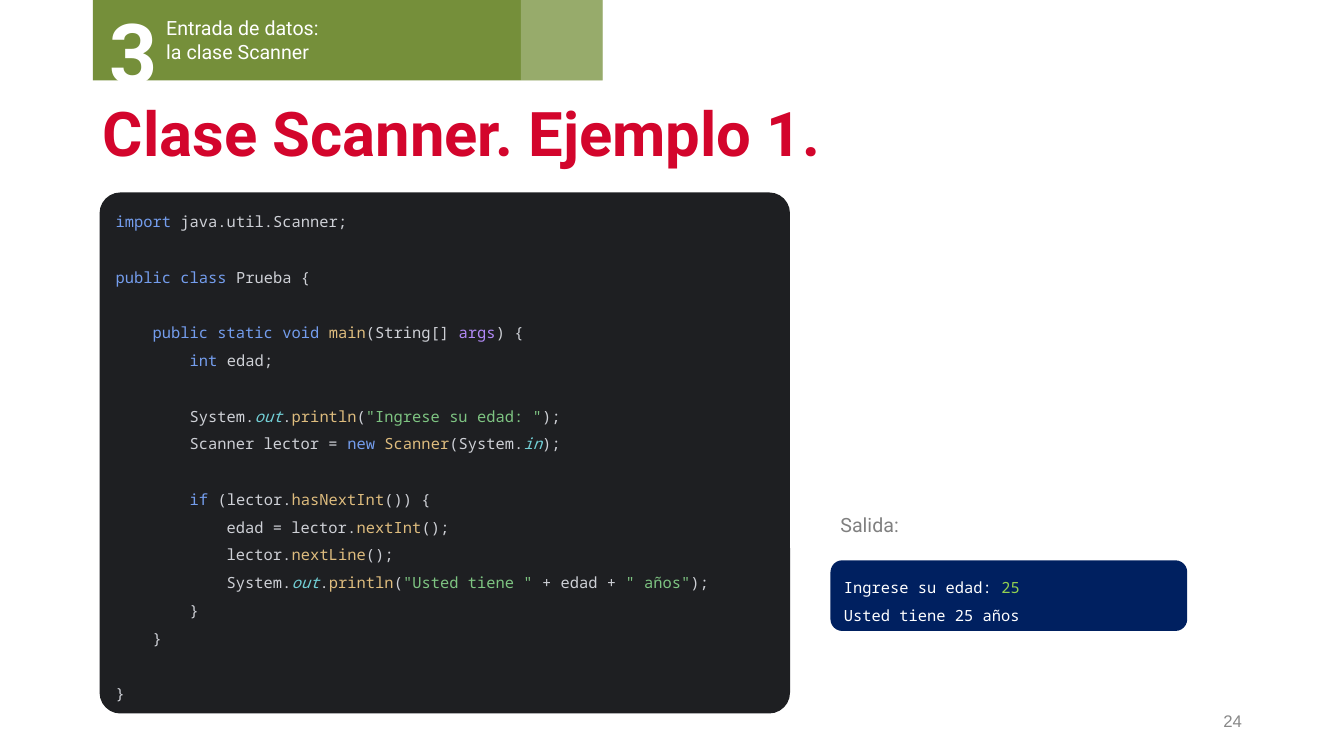
"""Builds a slide on the Scanner class with a code sample and its output."""
from copy import deepcopy
from dataclasses import dataclass, field

from pptx import Presentation, util as u
from pptx.dml import color as col
from pptx.enum import shapes as sh, text as tx
from pptx.oxml import ns, xmlchemy as xc


@dataclass(frozen=True)
class Theme:
    """Colours and type styles of the slide."""
    colors: dict = field(default_factory=lambda: {
        "white": "FFFFFF", "red": "D3052C", "gray": "808080", "number": "888888",
        "banner": "758F3A", "editor": "1E1F22", "console": "002060",
        "plain": "CED0D6", "keyword": "749DED", "method": "DEBC7E",
        "argument": "B189F5", "string": "7EC482", "static": "72CFD6",
        "input": "92D050"})
    styles: dict = field(default_factory=lambda: {
        "title": {"name": "Roboto", "size": u.Pt(44), "bold": True},
        "chapter": {"name": "Roboto", "size": u.Pt(60), "bold": True},
        "label": {"name": "Roboto", "size": u.Pt(14)},
        "number": {"name": "Arial", "size": u.Pt(12)},
        "code": {"name": "Noto Sans Mono", "size": u.Pt(11)}})

    def rgb(self, name):
        """Return the colour with this name."""
        return col.RGBColor.from_string(self.colors[name])


class SlideBuilder:
    """Holds the theme and the current slide, and adds its elements."""

    def __init__(self, slide, theme):
        """Start on a slide with a theme."""
        self.slide, self.theme = slide, theme

    def fill_text(self, frame, tokens, style, anchor="TOP", **layout):
        """Fill a text frame with (colour, text) tokens in one paragraph."""
        frame.word_wrap = True
        frame.vertical_anchor = tx.MSO_ANCHOR[anchor]
        paragraph = frame.paragraphs[0]
        for key, value in {"alignment": tx.PP_ALIGN.LEFT, **layout}.items():
            setattr(paragraph, key, value)
        run = None
        for color, content in tokens:
            for index, piece in enumerate(content.split("\n")):
                if index:
                    paragraph.add_line_break()
                    paragraph._p[-1].append(deepcopy(run.font._element))
                if piece:
                    run = paragraph.add_run()
                    run.text = piece
                    format_values = {**self.theme.styles[style], "italic": color == "static"}
                    for key, value in format_values.items():
                        setattr(run.font, key, value)
                    run.font.color.rgb = self.theme.rgb(color)

    def title(self, box, content):
        """Place and fill the title placeholder."""
        heading = self.slide.shapes.title
        for key, value in zip(("left", "top", "width", "height"), box):
            setattr(heading, key, u.Cm(value))
        heading.text_frame.auto_size = tx.MSO_AUTO_SIZE.NONE
        self.fill_text(heading.text_frame, [("red", content)], "title", "MIDDLE",
                       line_spacing=0.9)

    def label(self, box, color, content, style, parent=None, **layout):
        """Add a text box in one colour."""
        caption = (parent or self.slide).shapes.add_textbox(*map(u.Cm, box))
        self.fill_text(caption.text_frame, [(color, content)], style, **layout)

    def panel(self, box, color, kind="RECTANGLE", parent=None, opacity=None, radius=None):
        """Add a filled shape without outline and return it."""
        area = (parent or self.slide).shapes.add_shape(sh.MSO_SHAPE[kind], *map(u.Cm, box))
        area.shadow.inherit = False
        area.fill.solid()
        area.fill.fore_color.rgb = self.theme.rgb(color)
        area.line.fill.background()
        if radius is not None:
            area.adjustments[0] = radius
        if opacity is not None:
            fill = area._element.spPr.find(ns.qn("a:solidFill"))
            alpha = xc.OxmlElement("a:alpha")
            alpha.set("val", str(opacity * 1000))
            fill[0].append(alpha)
        return area

    def listing(self, box, color, tokens, anchor="TOP", radius=None):
        """Add a rounded panel with monospaced coloured text."""
        window = self.panel(box, color, "ROUNDED_RECTANGLE", radius=radius)
        self.fill_text(window.text_frame, tokens, "code", anchor, line_spacing=1.5)
        window.text_frame.auto_size = tx.MSO_AUTO_SIZE.SHAPE_TO_FIT_TEXT

    def banner(self, chapter, subject):
        """Add the chapter banner as one group."""
        group = self.slide.shapes.add_group_shape()
        self.panel((2.34, 0, 12.85, 2.03), "banner", parent=group)
        self.label((3.94, 0.28, 6.99, 1.45), "white", subject, "label", group)
        self.label((2.51, -0.1, 2.84, 2.82), "white", chapter, "chapter", group)
        self.panel((13.13, 0, 2.06, 2.03), "white", parent=group, opacity=25)


SAMPLE = [
    ("keyword", "import "), ("plain", "java.util.Scanner;\n\n"),
    ("keyword", "public class "), ("plain", "Prueba {\n    \n    "),
    ("keyword", "public static void "), ("method", "main"),
    ("plain", "(String[] "), ("argument", "args"), ("plain", ") {\n        "),
    ("keyword", "int "), ("plain", "edad;\n        \n        System."),
    ("static", "out"), ("plain", "."), ("method", "println"), ("plain", "("),
    ("string", '"Ingrese su edad: "'), ("plain", ");\n        Scanner lector = "),
    ("keyword", "new "), ("method", "Scanner"), ("plain", "(System."),
    ("static", "in"), ("plain", ");\n        \n        "),
    ("keyword", "if "), ("plain", "(lector."), ("method", "hasNextInt"),
    ("plain", "()) {\n            edad = lector."), ("method", "nextInt"),
    ("plain", "();\n            lector."), ("method", "nextLine"),
    ("plain", "();\n            System."), ("static", "out"), ("plain", "."),
    ("method", "println"), ("plain", "("), ("string", '"Usted tiene " '),
    ("plain", "+ edad + "), ("string", '" años"'),
    ("plain", ");\n        }\n    }\n    \n}")]

OUTPUT = [("white", "Ingrese su edad: "), ("input", "25"),
          ("white", "\nUsted tiene 25 años")]


def main():
    """Build and save the presentation."""
    deck = Presentation()
    deck.slide_width, deck.slide_height = u.Cm(33.87), u.Cm(19.05)
    builder = SlideBuilder(deck.slides.add_slide(deck.slide_layouts[5]), Theme())
    builder.title((2.34, 2.36, 29.21, 2.18), "Clase Scanner. Ejemplo 1.")
    builder.label((23.93, 17.65, 7.62, 1.02), "number", "24", "number",
                  anchor="MIDDLE", alignment=tx.PP_ALIGN.RIGHT)
    builder.listing((20.93, 14.12, 8.99, 1.78), "console", OUTPUT)
    builder.label((20.93, 12.8, 5.61, 0.86), "gray", "Salida:", "label")
    builder.banner("3", "Entrada de datos:\nla clase Scanner")
    builder.listing((2.51, 4.85, 17.4, 13.13), "editor", SAMPLE, "MIDDLE", 0.04)
    deck.save("out.pptx")


if __name__ == "__main__":
    main()
